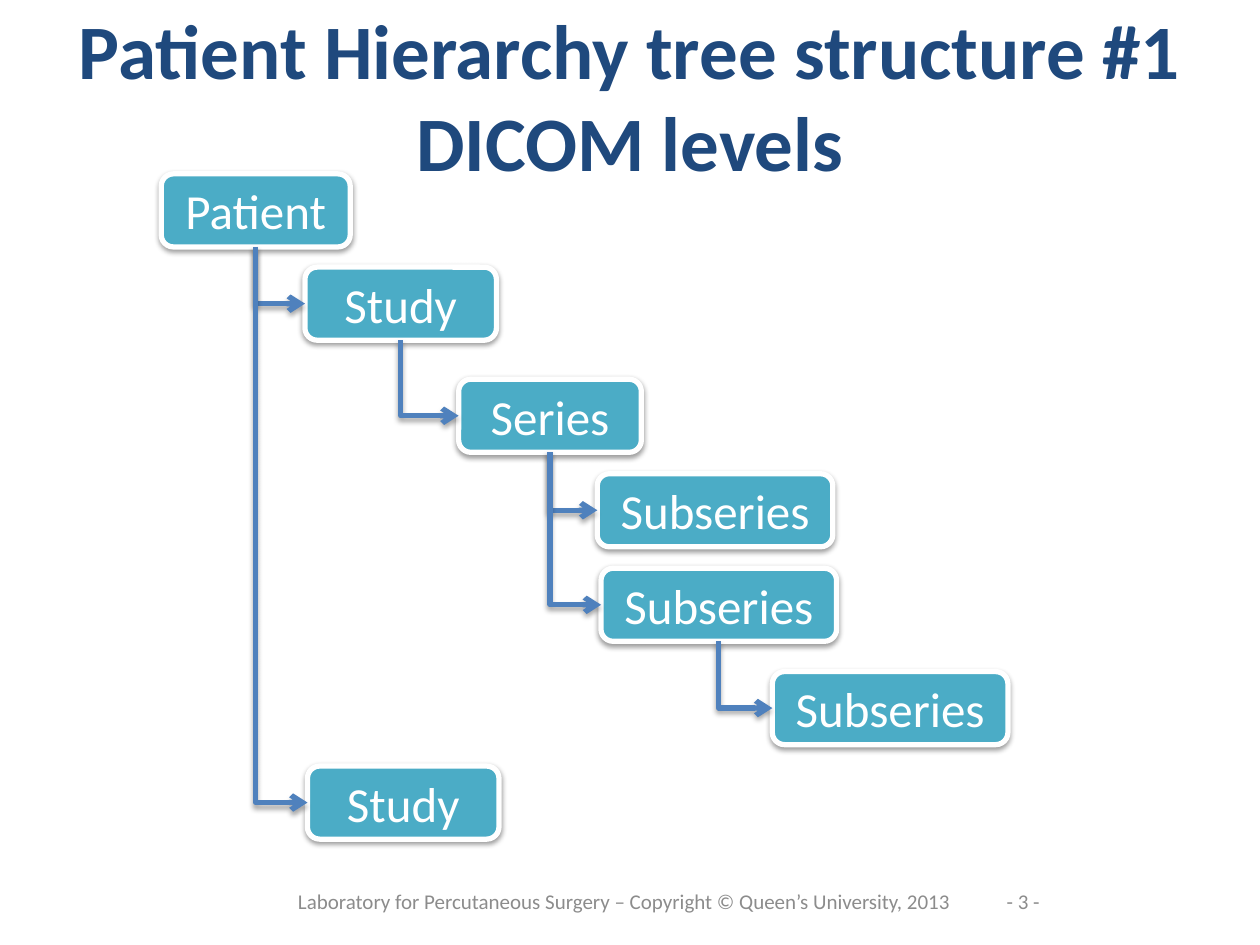
from lxml import etree
from pptx import Presentation
from pptx.dml.color import RGBColor
from pptx.enum.shapes import MSO_CONNECTOR, MSO_SHAPE
from pptx.enum.text import MSO_ANCHOR, PP_ALIGN
from pptx.oxml import parse_xml
from pptx.oxml.ns import nsdecls, qn
from pptx.util import Inches, Pt

ELBOW = MSO_CONNECTOR.ELBOW
ROUNDED = MSO_SHAPE.ROUNDED_RECTANGLE
MIDDLE = MSO_ANCHOR.MIDDLE
CENTER = PP_ALIGN.CENTER

FONT = "Calibri"
WHITE, TEAL, BLUE, NAVY, GRAY = "FFFFFF", "4BACC6", "4F81BD", "1F497D", "8C8C8C"
NODE_HEIGHT = 0.58
BOTTOM_SITE, LEFT_SITE = 2, 1

LEVELS = [
    ("Patient", 1.28, 1.38, 1.5, None),
    ("Study", 2.42, 2.12, 1.52, 0),
    ("Series", 3.64, 3.01, 1.45, 1),
    ("Study", 2.44, 6.08, 1.52, 0),
    ("Subseries", 4.74, 3.76, 1.87, 2),
    ("Subseries", 4.77, 4.51, 1.87, 2),
    ("Subseries", 6.13, 5.33, 1.87, 5),
]


def color(value):
    return RGBColor.from_string(value)


def write(frame, lines, size, ink, bold=False):
    frame.word_wrap = True
    frame.vertical_anchor = MIDDLE
    paragraph = frame.paragraphs[0]
    paragraph.alignment = CENTER
    for index, line in enumerate(lines):
        if index:
            paragraph.add_line_break()
        paragraph.add_run().text = line
    paragraph.font.name = FONT
    paragraph.font.size = Pt(size)
    paragraph.font.bold = bold
    paragraph.font.color.rgb = color(ink)


def add_label(slide, bounds, lines, size, ink, bold=False):
    label = slide.shapes.add_textbox(*map(Inches, bounds))
    write(label.text_frame, lines, size, ink, bold)


def add_shadow(element, distance, opacity):
    element.spPr.append(parse_xml(
        f'<a:effectLst {nsdecls("a")}>'
        f'<a:outerShdw blurRad="{Pt(3.1)}" dist="{Pt(distance)}" dir="5400000" rotWithShape="0">'
        f'<a:srgbClr val="000000"><a:alpha val="{opacity * 1000}"/></a:srgbClr>'
        '</a:outerShdw></a:effectLst>'
    ))


def add_node(slide, name, left, top, width):
    node = slide.shapes.add_shape(ROUNDED, *map(Inches, (left, top, width, NODE_HEIGHT)))
    node.fill.solid()
    node.fill.fore_color.rgb = color(TEAL)
    node.line.color.rgb = color(WHITE)
    node.line.width = Pt(3)
    add_shadow(node._element, 1.6, 38)
    write(node.text_frame, [name], 28, WHITE)
    return node


def add_branch(slide, parent, child):
    branch = slide.shapes.add_connector(ELBOW, 0, 0, 0, 0)
    branch.begin_connect(parent, BOTTOM_SITE)
    branch.end_connect(child, LEFT_SITE)
    start_x, start_y = branch.begin_x, branch.begin_y
    across, down = branch.end_x - start_x, branch.end_y - start_y
    branch.left = start_x + (across - down) // 2
    branch.top = start_y + (down - across) // 2
    branch.width, branch.height = down, across
    properties = branch._element.spPr
    transform = properties.find(qn("a:xfrm"))
    transform.set("rot", "16200000")
    transform.set("flipH", "1")
    properties.find(qn("a:prstGeom")).set("prst", "bentConnector2")
    branch.line.color.rgb = color(BLUE)
    branch.line.width = Pt(3)
    etree.SubElement(properties.find(qn("a:ln")), qn("a:tailEnd"), type="arrow")
    add_shadow(branch._element, 1.8, 35)


def main():
    deck = Presentation()
    deck.slide_width, deck.slide_height = Inches(10), Inches(7.5)
    slide = deck.slides.add_slide(deck.slide_layouts[6])
    add_label(slide, (7.83, 6.95, 0.58, 0.4), ["- 3 -"], 12, GRAY)
    add_label(slide, (2.08, 6.95, 5.75, 0.4),
              ["Laboratory for Percutaneous Surgery – Copyright © Queen’s University, 2013"], 12, GRAY)
    add_label(slide, (0.5, 0, 9, 1.5),
              ["Patient Hierarchy tree structure #1", "DICOM levels"], 44, NAVY, bold=True)
    nodes = []
    for name, left, top, width, parent in LEVELS:
        nodes.append(add_node(slide, name, left, top, width))
        if parent is not None:
            add_branch(slide, nodes[parent], nodes[-1])
    deck.save("out.pptx")


if __name__ == "__main__":
    main()
